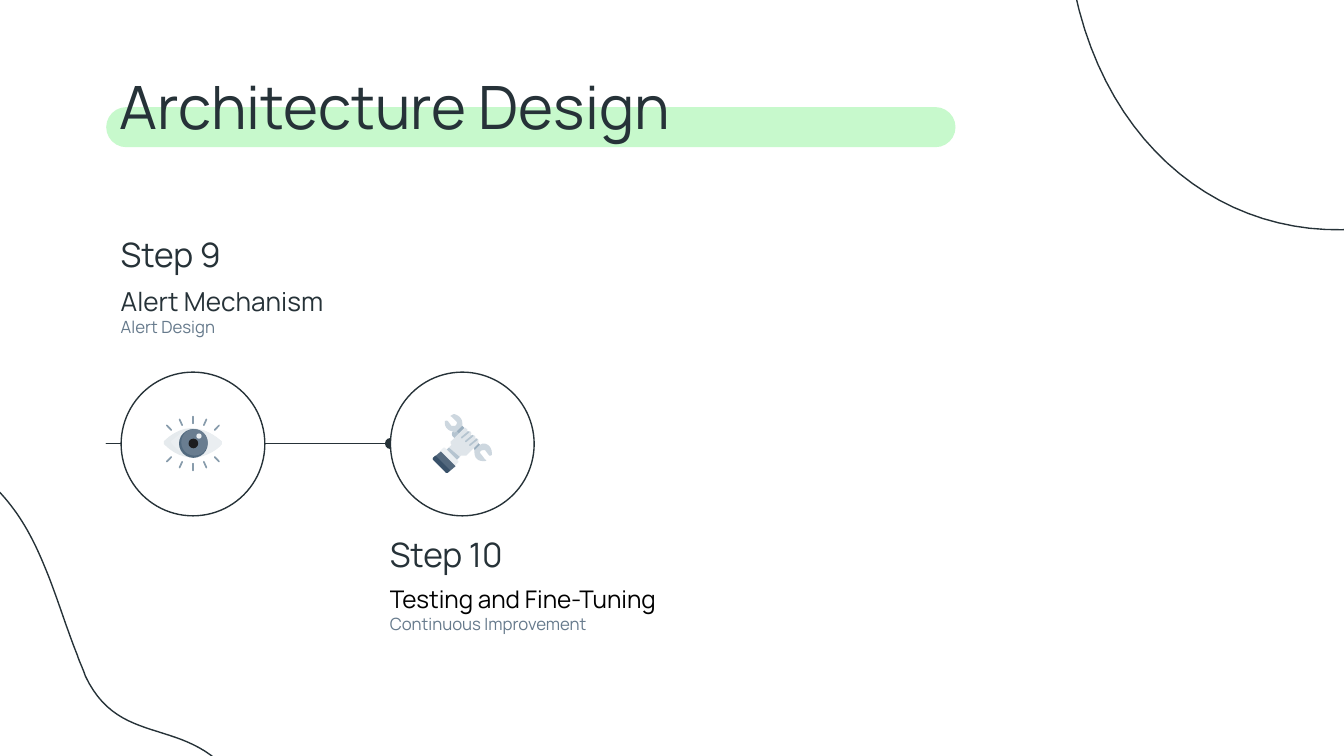
"""Build the Architecture Design slide with two timeline steps."""
import math
from dataclasses import dataclass
from itertools import product

from lxml import etree
from pptx import Presentation
from pptx.dml.color import RGBColor
from pptx.enum import shapes, text
from pptx.oxml import ns
from pptx.util import Pt


@dataclass(frozen=True)
class Theme:
    """Colours, font and type sizes."""
    font: str = "Manrope"
    ink: str = "263238"
    black: str = "000000"
    muted: str = "667A8C"
    paper: str = "FFFFFF"
    highlight: str = "C7F9CC"
    ray: str = "889CAC"
    crease: str = "B5C4D0"
    title: float = 32
    step: float = 18
    detail: float = 9
    hairline: float = 0.75
    stroke: float = 0.9


@dataclass(frozen=True)
class Step:
    """One timeline step with its two text boxes and circle."""
    name: str
    heading: str
    detail: str
    heading_size: float
    heading_color: str
    text_left: float
    text_top: float
    circle_left: float


@dataclass(frozen=True)
class Outline:
    """A closed outline of lines (pairs) and cubic curves (sextuples)."""
    color: str | None
    start: tuple
    segments: tuple


@dataclass(frozen=True)
class Disc:
    """A filled circle placed relative to an icon centre."""
    color: str
    x: float
    y: float
    radius: float


THEME = Theme()
CIRCLE_TOP, CIRCLE_SIZE, AXIS = 199.4, 77, 237.6
STEPS = (
    Step("Step 9", "Alert Mechanism", "Alert Design", 14, THEME.ink, 57.5, 118.1, 64.9),
    Step("Step 10", "Testing and Fine-Tuning", "Continuous Improvement", 13, THEME.black,
         201.6, 278.6, 209.2),
)
BLOB = Outline(None, (105.9, 107), (
    (105.9, 101.2, 105.1, 94, 102.3, 86.1), (90.7, 56.6, 59.8, 51.5, 61.9, 13.4),
    (62.7, 9, 62.7, 5.4, 63.4, 1.8), (65.5, -16.2, 69.1, -32.7, 70.6, -48.6),
    (72.7, -68, 72.7, -87.4, 63.4, -109.8), (47.5, -147.9, 19.5, -158, -14.4, -155.1),
    (-74.4, -149.4, -106.5, -102.6, -113, -45), (-115.2, -20.5, -113, 5.4, -106.5, 31.4),
    (-84.9, 113.4, -19.4, 157.4, 51.9, 147.3), (73.5, 144.4, 103, 132.2, 105.9, 107)))
EYE = (
    Outline("E5EAED", (-0.4, -8.3), (
        (-8.4, -8.3, -14.1, -2.6, -15.6, -1.1), (-15.6, 0.3), (-9.8, 6.1, -4.8, 7.5, 0.3, 7.5),
        (8.2, 6.8, 14, 2.5, 15.4, 0.3), (15.4, -1.1), (10.4, -5.4, 6, -7.6, -0.4, -8.3))),
    Outline("EAEEF1", (1.7, -7.6), (
        (-5.5, -7.6, -9.8, -2.6, -12, -1.1), (-11.2, 0.3), (-6.9, 5.4, -2.6, 6.8, 1.7, 7.5),
        (8.2, 6.8, 14, 2.5, 15.4, 0.3), (15.4, -1.1), (10.4, -5.4, 6, -7.6, 1.7, -7.6))),
    Disc("526A7F", 0.2, 0, 7.7), Disc("697D90", 0.8, -0.6, 7.1),
    Disc("1D1D1F", 0.2, 0, 2.6), Disc("EAEEF1", 3.2, -4, 1.4),
)
WRENCH = (
    Outline(THEME.crease, (-2.9, -7.9), (
        (-5, -6.5), (-5.8, -5.8, -5.8, -4.3, -5, -3.6), (-3.6, -2.2), (-0.7, -5.8))),
    Outline("CDD7DF", (-4.3, -15.8), (
        (-5, -15.8, -5.8, -15.1, -5.8, -15.1), (-6.5, -15.1, -6.5, -14.4, -5.8, -14.4),
        (-3.6, -12.2), (-2.9, -11.5), (-2.9, -10.1, -3.6, -9.4, -4.3, -9.4), (-5.8, -9.4),
        (-7.9, -12.2), (-8.6, -12.2, -9.4, -12.2, -9.4, -12.2), (-9.4, -10.8),
        (-9.4, -8.6, -7.2, -6.5, -5, -6.5), (-4.3, -5.8), (-2.9, -6.5), (6.5, 2.9), (6.5, 5),
        (6.5, 7.9, 8.6, 9.4, 10.8, 9.4), (12.2, 9.4), (13, 9.4, 13, 8.6, 12.2, 8.6),
        (10.1, 5.8), (9.4, 5), (9.4, 4.3, 10.1, 3.6, 10.8, 3.6), (12.2, 3.6), (14.4, 6.5),
        (15.1, 6.5, 15.8, 6.5, 15.8, 5.8), (15.8, 5), (15.8, 2.2, 13.7, 0, 11.5, 0),
        (10.8, 0), (9.4, 0.7), (0, -9.4), (0, -10.8), (0, -13.7, -2.2, -15.1, -4.3, -15.8))),
    Outline("9BAFBF", (0, -9.4), ((-2.9, -6.5), (6.5, 2.9), (6.5, 3.6), (9.4, 0.7))),
    Outline("DFE5EA", (1.4, -8.6), (
        (0.7, -7.9), (-5.8, -1.4), (-6.5, -1.4, -6.5, 0, -5.8, 0.7), (-12.2, 7.9), (-7.2, 13),
        (-0.7, 6.5), (2.2, 6.5), (8.6, 0), (8.6, -2.2), (7.9, -2.2, 7.9, -2.9, 7.2, -2.9),
        (6.5, -2.2), (7.2, -2.9, 7.2, -3.6, 6.5, -4.3), (4.3, -4.3),
        (5, -5, 5, -5.8, 4.3, -6.5), (2.2, -6.5), (2.9, -6.5, 2.9, -7.9, 2.2, -7.9))),
    Outline(THEME.crease, (-7.2, 2.2), ((-10.8, 5.8), (-5.8, 11.5), (-1.4, 7.2))),
    Outline("EBEFF2", (-9.4, 2.2), (
        (-10.1, 2.2), (-12.2, 4.3), (-4.3, 12.2), (-2.2, 10.1), (-2.2, 9.4))),
    Outline("53687D", (-11.5, 4.3), (
        (-15.8, 7.9), (-15.8, 8.6), (-8.6, 15.8), (-7.9, 15.8), (-3.6, 12.2))),
    Outline("395169", (-14.4, 6.5), (
        (-15.8, 7.9), (-15.8, 8.6), (-8.6, 15.8), (-7.9, 15.8), (-6.5, 14.4))),
)
RAYS = [(sx * x1, sy * y1, sx * x2, sy * y2)
        for sx, sy in product((-1, 1), repeat=2)
        for x1, y1, x2, y2 in ((7.2, 12.9, 5.8, 9.8), (14, 9.7, 11.6, 7.2))]
RAYS += [(0, sy * 14.4, 0, sy * 10.8) for sy in (-1, 1)]
CREASES = [(3.4 + 2.2 * n, -6.2 + 2 * n, -0.4 + 2.2 * n, -3.1 + 2 * n) for n in range(3)]


def paint(shape, fill: str | None = None, line: str | None = None):
    """Set fill and outline, and drop the shadow."""
    shape.shadow.inherit = False
    if fill:
        shape.fill.solid()
        shape.fill.fore_color.rgb = RGBColor.from_string(fill)
    else:
        shape.fill.background()
    if line:
        shape.line.color.rgb = RGBColor.from_string(line)
        shape.line.width = Pt(THEME.hairline)
    else:
        shape.line.fill.background()
    return shape


def draw_shape(canvas, kind, left: float, top: float, width: float, height: float, **look):
    """Draw one preset shape."""
    return paint(canvas.add_shape(kind, Pt(left), Pt(top), Pt(width), Pt(height)), **look)


def flatten(outline: Outline) -> list[tuple[float, float]]:
    """Turn the outline into a list of points."""
    points = [outline.start]
    for segment in outline.segments:
        if len(segment) == 2:
            points.append(segment)
            continue
        corners = (points[-1], segment[:2], segment[2:4], segment[4:])
        count = 24 if outline is BLOB else 6
        for t in (n / count for n in range(1, count + 1)):
            weights = ((1 - t) ** 3, 3 * t * (1 - t) ** 2, 3 * t * t * (1 - t), t ** 3)
            points.append(tuple(sum(w * c[axis] for w, c in zip(weights, corners))
                                for axis in (0, 1)))
    return points


def draw_outline(canvas, outline: Outline, x: float, y: float, turn: float = 0, **look):
    """Draw the outline around a centre, turned by some degrees."""
    cos, sin = math.cos(math.radians(turn)), math.sin(math.radians(turn))
    first, *rest = [(Pt(x + px * cos - py * sin), Pt(y + px * sin + py * cos))
                    for px, py in flatten(outline)]
    builder = canvas.build_freeform(*first)
    builder.add_line_segments(rest, close=True)
    return paint(builder.convert_to_shape(), **look)


def draw_line(canvas, x1: float, y1: float, x2: float, y2: float, color: str, width: float,
              tail: str | None = None) -> None:
    """Draw a straight line with round caps and an optional end mark."""
    line = canvas.add_connector(shapes.MSO_CONNECTOR.STRAIGHT, Pt(x1), Pt(y1), Pt(x2), Pt(y2))
    line.line.color.rgb = RGBColor.from_string(color)
    line.line.width = Pt(width)
    properties = line._element.spPr
    stroke = properties.find(ns.qn("a:ln"))
    stroke.set("cap", "rnd")
    if tail:
        etree.SubElement(stroke, ns.qn("a:tailEnd"), type=tail)
    etree.SubElement(properties, ns.qn("a:effectLst"))


def draw_icon(page, x: float, y: float, pieces: tuple, strokes: list, color: str) -> None:
    """Draw an icon as a group around its centre."""
    canvas = page.shapes.add_group_shape().shapes
    for piece in pieces:
        if isinstance(piece, Disc):
            size = 2 * piece.radius
            draw_shape(canvas, shapes.MSO_SHAPE.OVAL, x + piece.x - piece.radius,
                       y + piece.y - piece.radius, size, size, fill=piece.color)
        else:
            draw_outline(canvas, piece, x, y, fill=piece.color)
    for x1, y1, x2, y2 in strokes:
        draw_line(canvas, x + x1, y + y1, x + x2, y + y2, color, THEME.stroke)


def place(box, left: float, top: float, width: float, height: float) -> None:
    """Move a placeholder and set up its frame."""
    box.left, box.top, box.width, box.height = Pt(left), Pt(top), Pt(width), Pt(height)
    frame = box.text_frame
    frame.word_wrap, frame.auto_size = True, text.MSO_AUTO_SIZE.NONE
    frame.vertical_anchor = text.MSO_ANCHOR.TOP
    frame.margin_left = frame.margin_right = frame.margin_top = frame.margin_bottom = Pt(7.2)


def write(box, words: str, *, size: float, color: str = THEME.ink, new: bool = False) -> None:
    """Write one left-aligned paragraph without a bullet."""
    para = box.text_frame.add_paragraph() if new else box.text_frame.paragraphs[0]
    para.alignment, para.space_before = text.PP_ALIGN.LEFT, Pt(0)
    properties = para._p.get_or_add_pPr()
    properties.set("marL", "0")
    properties.set("indent", "0")
    etree.SubElement(properties, ns.qn("a:buNone"))
    span = para.add_run()
    span.text = words
    span.font.name, span.font.size, span.font.bold = THEME.font, Pt(size), False
    span.font.color.rgb = RGBColor.from_string(color)


def main() -> None:
    """Build and save the deck."""
    deck = Presentation()
    deck.slide_width, deck.slide_height = Pt(720), Pt(405)
    page = deck.slides.add_slide(deck.slide_layouts.get_by_name("Comparison"))
    title, *boxes = page.placeholders
    place(title, 56.9, 30.2, 607, 48.2)
    write(title, "Architecture Design", size=THEME.title)
    band = draw_shape(page.shapes, shapes.MSO_SHAPE.ROUNDED_RECTANGLE, 56.9, 57.4, 455, 21.5,
                      fill=THEME.highlight)
    band.adjustments[0] = 0.5
    title.element.addprevious(band.element)
    for x, y, turn in ((684.7, -25.6, 0), (-15.1, 379.8, -28.4)):
        blob = draw_outline(page.shapes, BLOB, x, y, turn, line=THEME.ink)
        title.element.addprevious(blob.element)
    draw_line(page.shapes, 56.9, AXIS, STEPS[1].circle_left, AXIS, THEME.ink, THEME.hairline, "oval")
    icons = ((EYE, RAYS, THEME.ray), (WRENCH, CREASES, THEME.crease))
    for step, name, body, icon in zip(STEPS, boxes[::2], boxes[1::2], icons):
        place(name, step.text_left, step.text_top, 173.5, 29.5)
        write(name, step.name, size=THEME.step)
        place(body, step.text_left, step.text_top + 27.4, 173.5, 48.2)
        write(body, step.heading, size=step.heading_size, color=step.heading_color)
        write(body, step.detail, size=THEME.detail, color=THEME.muted, new=True)
        draw_shape(page.shapes, shapes.MSO_SHAPE.OVAL, step.circle_left, CIRCLE_TOP,
                   CIRCLE_SIZE, CIRCLE_SIZE, fill=THEME.paper, line=THEME.ink)
        draw_icon(page, step.circle_left + CIRCLE_SIZE / 2, AXIS, *icon)
    deck.save("out.pptx")


if __name__ == "__main__":
    main()
